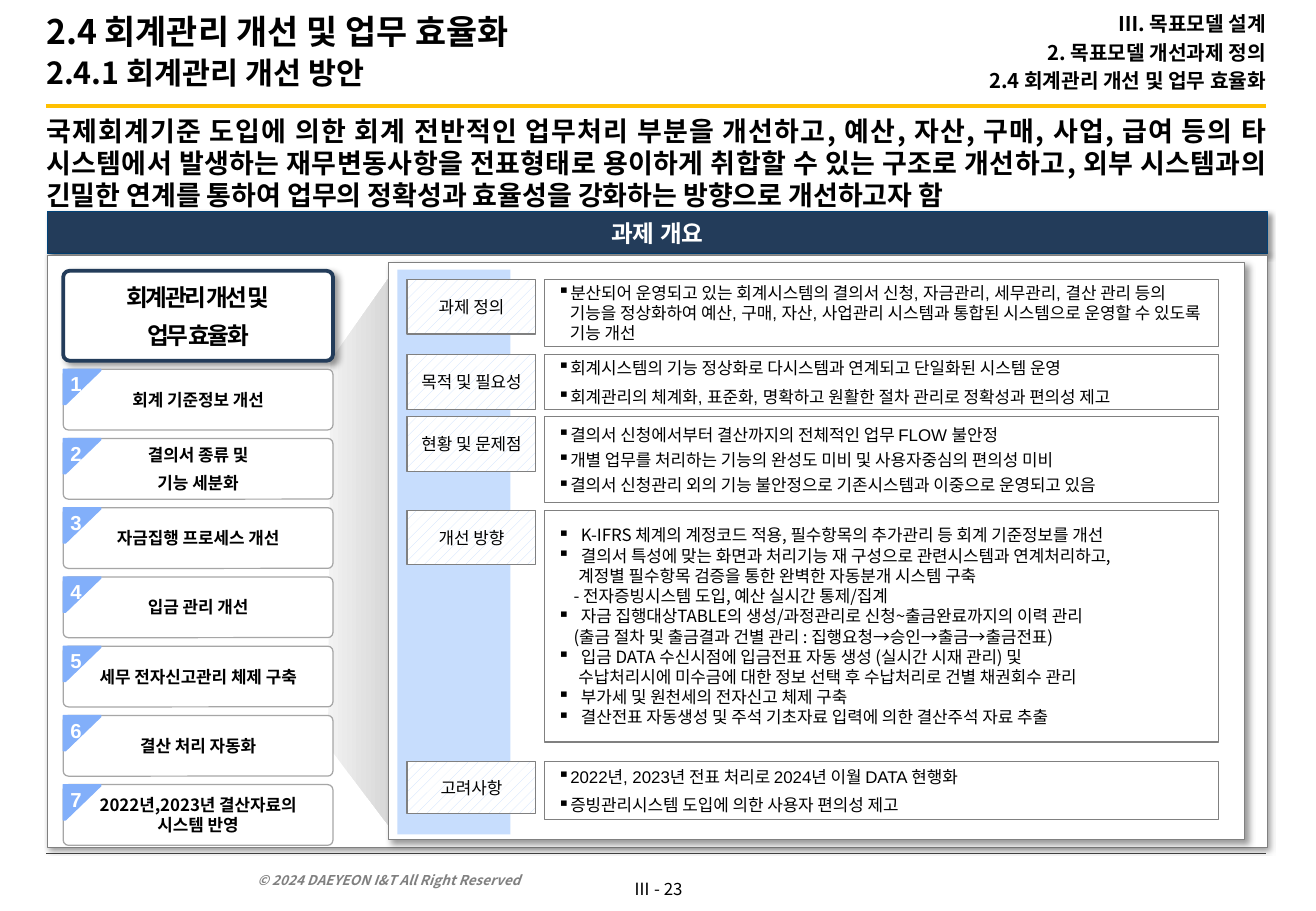
from lxml import etree
from pptx import Presentation
from pptx import util as u
from pptx.dml.color import RGBColor
from pptx.enum import dml, shapes, text
from pptx.oxml import ns

SANS, ARIAL = "Noto Sans CJK KR", "Arial"
COLORS = {
    "black": "000000", "white": "FFFFFF", "gold": "FFC000", "rule": "404040",
    "navy": "233C5A", "navy_edge": "00437A", "gray": "808080",
    "step_edge": "A6A6A6", "badge": "82AFFA", "pale": "C7DDFD",
    "beam_light": "F2F2F2", "beam_dark": "D9D9D9",
}
LEFT, CENTER, RIGHT = text.PP_ALIGN.LEFT, text.PP_ALIGN.CENTER, text.PP_ALIGN.RIGHT
TOP, MIDDLE = text.MSO_ANCHOR.TOP, text.MSO_ANCHOR.MIDDLE
PAD = (0.11, 0.05, 0.11, 0.05)
STEPS = [
    ["회계 기준정보 개선"], ["결의서 종류 및", "기능 세분화"],
    ["자금집행 프로세스 개선"], ["입금 관리 개선"],
    ["세무 전자신고관리 체제 구축"], ["결산 처리 자동화"],
    ["2022년,2023년 결산자료의 시스템 반영"],
]
DIRECTIONS = [
    ("K-IFRS 체계의 계정코드 적용, 필수항목의 추가관리 등 회계 기준정보를 개선", 0.19, True),
    ("결의서 특성에 맞는 화면과 처리기능 재 구성으로 관련시스템과 연계처리하고,", 0.19, True),
    ("계정별 필수항목 검증을 통한 완벽한 자동분개 시스템 구축", 0.17, False),
    ("- 전자증빙시스템 도입, 예산 실시간 통제/집계", 0.13, False),
    ("자금 집행대상TABLE의 생성/과정관리로 신청~출금완료까지의 이력 관리", 0.19, True),
    ("(출금 절차 및 출금결과 건별 관리 : 집행요청→승인→출금→출금전표)", 0.13, False),
    ("입금 DATA 수신시점에 입금전표 자동 생성 (실시간 시재 관리) 및", 0.19, True),
    ("수납처리시에 미수금에 대한 정보 선택 후 수납처리로 건별 채권회수 관리", 0.17, False),
    ("부가세 및 원천세의 전자신고 체제 구축", 0.19, True),
    ("결산전표 자동생성 및 주석 기초자료 입력에 의한 결산주석 자료 추출", 0.19, True),
]


def bulleted(*lines):
    return [(line, 0.1, True) for line in lines]


DETAILS = [
    ("과제 정의", 0.14, 0.45, 0.55, ARIAL, 0, bulleted(
        "분산되어 운영되고 있는 회계시스템의 결의서 신청, 자금관리, 세무관리, 결산 관리 등의 "
        "기능을 정상화하여 예산, 구매, 자산, 사업관리 시스템과 통합된 시스템으로 운영할 수 있도록 기능 개선")),
    ("목적 및 필요성", 0.76, 0.45, 0.45, ARIAL, 5, bulleted(
        "회계시스템의 기능 정상화로 다시스템과 연계되고 단일화된 시스템 운영",
        "회계관리의 체계화, 표준화, 명확하고 원활한 절차 관리로 정확성과 편의성 제고")),
    ("현황 및 문제점", 1.27, 0.45, 0.71, ARIAL, 3, bulleted(
        "결의서 신청에서부터 결산까지의 전체적인 업무 FLOW 불안정",
        "개별 업무를 처리하는 기능의 완성도 미비 및 사용자중심의 편의성 미비",
        "결의서 신청관리 외의 기능 불안정으로 기존시스템과 이중으로 운영되고 있음")),
    ("개선 방향", 2.04, 0.45, 1.91, SANS, 0, DIRECTIONS),
    ("고려사항", 4.11, 0.43, 0.48, ARIAL, 5, bulleted(
        "2022년, 2023년 전표 처리로 2024년 이월 DATA 현행화",
        "증빙관리시스템 도입에 의한 사용자 편의성 제고")),
]


def rgb(name):
    return RGBColor.from_string(COLORS[name])


def box(*lengths):
    return [u.Inches(length) for length in lengths]


def style(run, size, font=SANS, color="black", bold=False, italic=False, spacing=0):
    run.font.size, run.font.bold, run.font.italic = u.Pt(size), bold, italic
    run.font.color.rgb = rgb(color)
    run.font.name = font
    properties = run.font._element
    etree.SubElement(properties, ns.qn("a:ea")).set("typeface", SANS)
    if spacing:
        properties.set("spc", str(spacing))


def write(shape, lines, size, align=LEFT, anchor=MIDDLE, pad=PAD, gap=0, pitch=1.2, wrap=True, **look):
    frame = shape.text_frame
    frame.auto_size = text.MSO_AUTO_SIZE.NONE
    frame.word_wrap, frame.vertical_anchor = wrap, anchor
    frame.margin_left, frame.margin_top, frame.margin_right, frame.margin_bottom = box(*pad)
    for index, line in enumerate(lines):
        words, indent, bullet = line if isinstance(line, tuple) else (line, 0, False)
        paragraph = frame.add_paragraph() if index else frame.paragraphs[0]
        properties = paragraph._p.get_or_add_pPr()
        properties.set("marL", str(u.Inches(indent)))
        properties.set("indent", str(-u.Inches(indent) if bullet else 0))
        mark = etree.SubElement(properties, ns.qn("a:buChar" if bullet else "a:buNone"))
        if bullet:
            mark.set("char", "▪")
        paragraph.alignment = align
        paragraph.line_spacing = u.Pt(round(size * pitch, 1))
        paragraph.space_before = u.Pt(gap if index else 0)
        style_run = paragraph.add_run()
        style_run.text = words
        style(style_run, size, **look)


def paint(shape, fill, edge=None, weight=0.75, shadow=None):
    shape.shadow.inherit = False
    if fill:
        shape.fill.solid()
        shape.fill.fore_color.rgb = rgb(fill)
    if edge:
        shape.line.color.rgb, shape.line.width = rgb(edge), u.Pt(weight)
    else:
        shape.line.fill.background()
    if shadow:
        blur, distance = shadow
        effects = shape._element.spPr.find(ns.qn("a:effectLst"))
        outer = etree.SubElement(effects, ns.qn("a:outerShdw"), blurRad=str(u.Pt(blur)),
                                 dist=str(u.Pt(distance)), dir="2700000", algn="tl", rotWithShape="0")
        tint = etree.SubElement(outer, ns.qn("a:srgbClr"), val=COLORS["black"])
        etree.SubElement(tint, ns.qn("a:alpha"), val="40000")


def panel(slide, area, fill, edge=None, weight=0.75, shadow=None, corner=None):
    kind = shapes.MSO_SHAPE.ROUNDED_RECTANGLE if corner else shapes.MSO_SHAPE.RECTANGLE
    shape = slide.shapes.add_shape(kind, *box(*area))
    if corner:
        shape.adjustments[0] = corner
    paint(shape, fill, edge, weight, shadow)
    return shape


def outline(slide, left, top, points):
    corners = [box(left + x, top + y) for x, y in points]
    builder = slide.shapes.build_freeform(*corners[0], scale=1.0)
    builder.add_line_segments(corners[1:], close=True)
    return builder.convert_to_shape()


def rule(slide, left, top, width, color, weight):
    line = slide.shapes.add_connector(shapes.MSO_CONNECTOR.STRAIGHT, *box(left, top, left + width, top))
    line.line.color.rgb, line.line.width = rgb(color), u.Pt(weight)
    etree.SubElement(line._element.spPr, ns.qn("a:effectLst"))


def place(shape, *area):
    shape.left, shape.top, shape.width, shape.height = box(*area)
    return shape


def header(slide, left, top, width):
    title, headline, breadcrumb = slide.placeholders
    rule(slide, left, top + 0.87, width, "gold", 2.5)
    place(title, left, top, 6.4, 0.85)
    write(title, ["2.4 회계관리 개선 및 업무 효율화"], 20, pad=(0, 0.05, 0.1, 0.05), pitch=1.15, bold=True)
    heading = title.text_frame.paragraphs[0]
    heading.add_line_break()
    subtitle = heading.add_run()
    subtitle.text = "2.4.1 회계관리 개선 방안"
    style(subtitle, 18, bold=True)
    place(headline, left, top + 0.94, width, 0.68)
    write(headline, [
        "국제회계기준 도입에 의한 회계 전반적인 업무처리 부분을 개선하고, 예산, 자산, 구매, 사업, 급여 등의 "
        "타 시스템에서 발생하는 재무변동사항을 전표형태로 용이하게 취합할 수 있는 구조로 개선하고, 외부 "
        "시스템과의 긴밀한 연계를 통하여 업무의 정확성과 효율성을 강화하는 방향으로 개선하고자 함",
    ], 16, text.PP_ALIGN.JUSTIFY, TOP, (0, 0, 0, 0), bold=True)
    place(breadcrumb, left + width - 3.54, top, 3.54, 0.86)
    write(breadcrumb, ["Ⅲ. 목표모델 설계", "2. 목표모델 개선과제 정의", "2.4 회계관리 개선 및 업무 효율화"],
          12, RIGHT, pad=(0, 0.05, 0, 0.05), gap=2.4, bold=True)


def overview(slide, left, top, width, height):
    banner = panel(slide, (left, top, width, 0.35), "navy", "navy_edge", 0.5, (3, 2))
    write(banner, ["과제 개요"], 14, CENTER, font=ARIAL, color="white", bold=True)
    panel(slide, (left, top + 0.36, width, height - 0.36), "white", "gray", 0.5, (3, 2))
    beam = outline(slide, left, top, [(2.33, 1.23), (2.31, 4.4), (2.88, 5.15), (2.88, 0.45)])
    paint(beam, None)
    beam.fill.gradient()
    beam.fill.gradient_angle = 0
    for stop, color, position in zip(beam.fill.gradient_stops, ("beam_light", "beam_dark"), (0, 0.82)):
        stop.color.rgb, stop.position = rgb(color), position


def steps(slide, left, top, width):
    goal = panel(slide, (left, top, width, 0.74), "white", "navy", 2.25, (4, 3), 0.07)
    write(goal, ["회계관리 개선 및", "업무 효율화"], 14, CENTER, pad=(0.08, 0.04, 0.08, 0.04),
          gap=4.9, pitch=1.26, font=ARIAL, bold=True, spacing=-150)
    for index, lines in enumerate(STEPS):
        step_top = top + 0.81 + 0.57 * index
        step = panel(slide, (left, step_top, width, 0.5), "white", "step_edge", corner=0.086)
        write(step, lines, 10, CENTER, gap=5, bold=True)
        badge = outline(slide, left, step_top, [(0, 0), (0.31, 0), (0.31, 0.01), (0.02, 0.29), (0, 0.29)])
        paint(badge, "badge", "badge")
        write(badge, [str(index + 1)], 12, anchor=TOP, pad=(0.06, 0.02, 0.02, 0.05),
              wrap=False, font=ARIAL, color="white", bold=True)


def details(slide, left, top, width, height):
    panel(slide, (left, top, width, height), "white", "gray", shadow=(4, 3))
    panel(slide, (left + 0.07, top + 0.06, 0.93, height - 0.1), "pale")
    for name, offset, name_height, row_height, font, gap, lines in DETAILS:
        label = panel(slide, (left + 0.15, top + offset, 1.06, name_height), None, "gray")
        label.fill.patterned()
        label.fill.pattern = dml.MSO_PATTERN.PERCENT_20
        label.fill.fore_color.rgb, label.fill.back_color.rgb = rgb("pale"), rgb("white")
        write(label, [name], 10, CENTER, font=ARIAL)
        content = panel(slide, (left + 1.28, top + offset, 5.55, row_height), "white", "gray")
        write(content, lines, 10, gap=gap, font=font)


def footer(slide, left, top, width):
    rule(slide, left, top, width, "rule", 0.5)
    page = slide.shapes.add_textbox(*box(left + 4.74, top + 0.15, 0.59, 0.27))
    write(page, ["Ⅲ - 23"], 10, CENTER, pad=(0.06, 0.05, 0.06, 0.05), wrap=False)
    rights = slide.shapes.add_textbox(*box(left + 1.64, top + 0.06, 3.02, 0.27))
    write(rights, ["© 2024 DAEYEON I&T All Right Reserved"], 8, anchor=text.MSO_ANCHOR.BOTTOM,
          pad=(0.1, 0.05, 0.1, 0.05), color="gray", bold=True, italic=True)


def main():
    deck = Presentation()
    deck.slide_width, deck.slide_height = box(10.83, 7.5)
    slide = deck.slides.add_slide(deck.slide_layouts[3])
    header(slide, 0.38, 0, 10.04)
    overview(slide, 0.39, 1.74, 10.04, 5.24)
    steps(slide, 0.52, 2.23, 2.22)
    details(slide, 3.2, 2.16, 7.04, 4.75)
    footer(slide, 0.38, 7.03, 10.04)
    deck.save("out.pptx")


if __name__ == "__main__":
    main()
